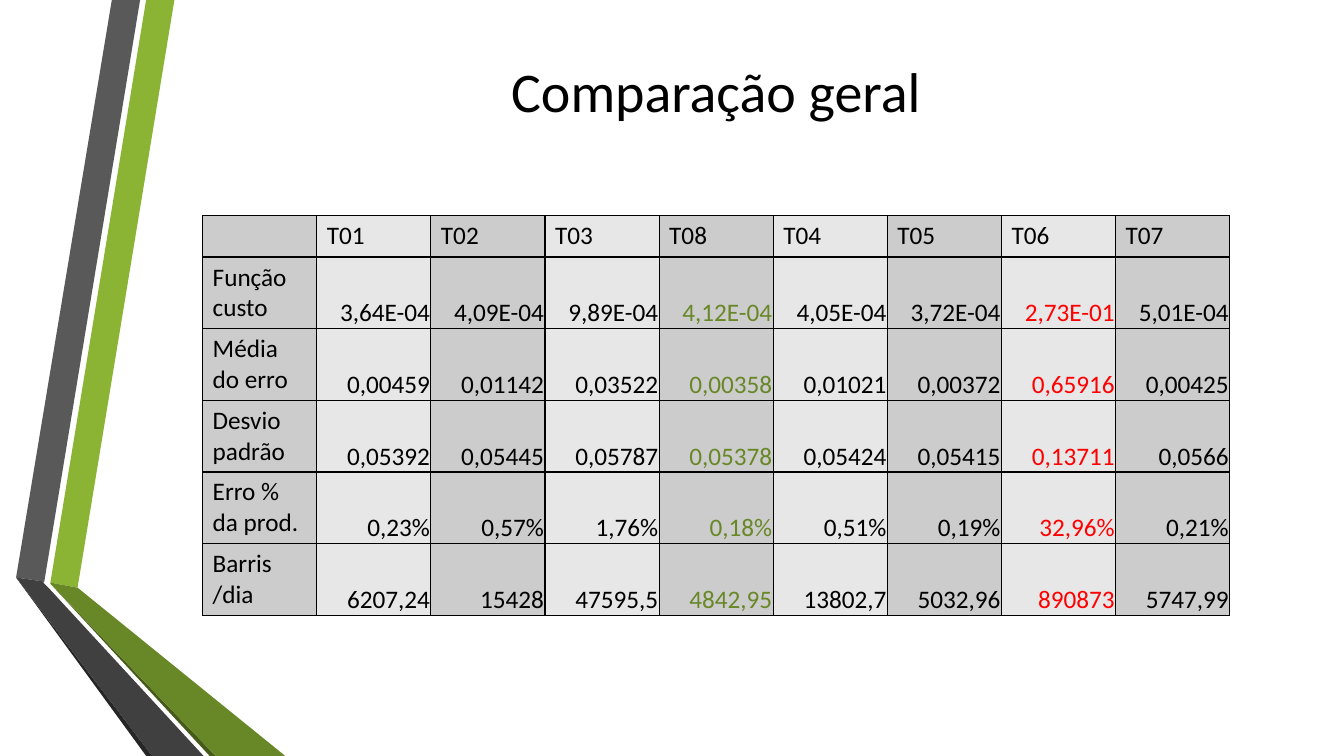
from lxml.etree import SubElement
from pptx import Presentation
from pptx.dml.color import RGBColor
from pptx.enum.text import MSO_ANCHOR as Anchor, PP_ALIGN as Align
from pptx.oxml.ns import qn
from pptx.util import Inches, Pt

COLORS = {
    "black": "000000",
    "best": "688727",
    "worst": "FF0000",
    "band_dark": "CCCCCC",
    "band_light": "E7E7E7",
    "lime": "8BB434",
    "green": "688727",
    "green_shade": "465A1A",
    "gray": "595959",
    "gray_fold": "404040",
    "gray_shade": "262626",
}
FONT = "Calibri"

# Ribbon pieces, from back to front
RIBBONS = [
    ("lime", [(0.5, 5.78), (0.77, 5.83), (1.73, 0), (1.45, 0)]),
    ("gray", [(1.39, 0), (1.11, 0), (0.16, 5.73), (0.44, 5.77)]),
    ("gray_shade", [(0.16, 5.73), (1.45, 7.5), (1.51, 7.5)]),
    ("green_shade", [(0.5, 5.79), (2.08, 7.5), (2.14, 7.5)]),
    ("green", [(0.5, 5.79), (2.14, 7.5), (2.83, 7.5), (0.77, 5.83), (0.5, 5.78)]),
    ("gray_fold", [(2.02, 7.5), (0.48, 5.83), (0.43, 5.78), (0.44, 5.77),
                   (0.16, 5.73), (1.51, 7.5)]),
]

TESTS = ["", "T01", "T02", "T03", "T08", "T04", "T05", "T06", "T07"]
RESULTS = [
    ["Função custo", "3,64E-04", "4,09E-04", "9,89E-04", "4,12E-04",
     "4,05E-04", "3,72E-04", "2,73E-01", "5,01E-04"],
    ["Média do erro", "0,00459", "0,01142", "0,03522", "0,00358",
     "0,01021", "0,00372", "0,65916", "0,00425"],
    ["Desvio padrão", "0,05392", "0,05445", "0,05787", "0,05378",
     "0,05424", "0,05415", "0,13711", "0,0566"],
    ["Erro % da prod.", "0,23%", "0,57%", "1,76%", "0,18%",
     "0,51%", "0,19%", "32,96%", "0,21%"],
    ["Barris\n/dia", "6207,24", "15428", "47595,5", "4842,95",
     "13802,7", "5032,96", "890873", "5747,99"],
]
HIGHLIGHTS = {"T08": "best", "T06": "worst"}


def rgb(name):
    return RGBColor.from_string(COLORS[name])


def write_text(frame, text, size=18, color="black", align=Align.LEFT):
    frame.text = text
    for paragraph in frame.paragraphs:
        paragraph.alignment = align
        paragraph.font.size = Pt(size)
        for run in paragraph.runs:
            run.font.name = FONT
            run.font.size = Pt(size)
            run.font.bold = False
            run.font.color.rgb = rgb(color)


def add_ribbon(slide, color, points):
    corners = [(Inches(x), Inches(y)) for x, y in points]
    builder = slide.shapes.build_freeform(*corners[0])
    builder.add_line_segments(corners[1:], close=True)
    ribbon = builder.convert_to_shape()
    ribbon.shadow.inherit = False
    ribbon.fill.solid()
    ribbon.fill.fore_color.rgb = rgb(color)
    ribbon.line.fill.background()


def set_title(slide, text):
    title = slide.shapes.title
    title.left, title.top = Inches(1.62), Inches(0.41)
    title.width, title.height = Inches(10.96), Inches(0.97)
    title.text_frame.vertical_anchor = Anchor.MIDDLE
    write_text(title.text_frame, text, size=40, align=Align.CENTER)


def add_borders(cell):
    properties = cell._tc.get_or_add_tcPr()
    for side in ("a:lnL", "a:lnR", "a:lnT", "a:lnB"):
        border = SubElement(properties, qn(side), w=str(Pt(1)))
        fill = SubElement(border, qn("a:solidFill"))
        SubElement(fill, qn("a:srgbClr"), val=COLORS["black"])


def format_value(cell):
    cell.vertical_anchor = Anchor.BOTTOM
    cell.margin_left = cell.margin_right = cell.margin_top = Inches(0.01)
    cell.margin_bottom = 0


def add_comparison(slide):
    rows = [TESTS] + RESULTS
    table = slide.shapes.add_table(
        len(rows), len(TESTS), Inches(2.01), Inches(2.14), Inches(10.19), Inches(3.96)
    ).table
    table.first_row = table.horz_banding = False
    for column in table.columns:
        column.width = Inches(10.19 / len(TESTS))
    for r, row in enumerate(rows):
        table.rows[r].height = Inches(0.71 if r else 0.41)
        for c, text in enumerate(row):
            cell = table.cell(r, c)
            add_borders(cell)
            cell.fill.solid()
            cell.fill.fore_color.rgb = rgb("band_light" if c % 2 else "band_dark")
            if r and c:
                format_value(cell)
                write_text(cell.text_frame, text, align=Align.RIGHT,
                           color=HIGHLIGHTS.get(TESTS[c], "black"))
            else:
                write_text(cell.text_frame, text)


def main():
    deck = Presentation()
    deck.slide_width, deck.slide_height = Inches(13.33), Inches(7.5)
    slide = deck.slides.add_slide(deck.slide_layouts[5])

    # Side decoration
    for color, points in RIBBONS:
        add_ribbon(slide, color, points)

    # Title and results
    set_title(slide, "Comparação geral")
    add_comparison(slide)

    deck.save("out.pptx")


if __name__ == "__main__":
    main()
